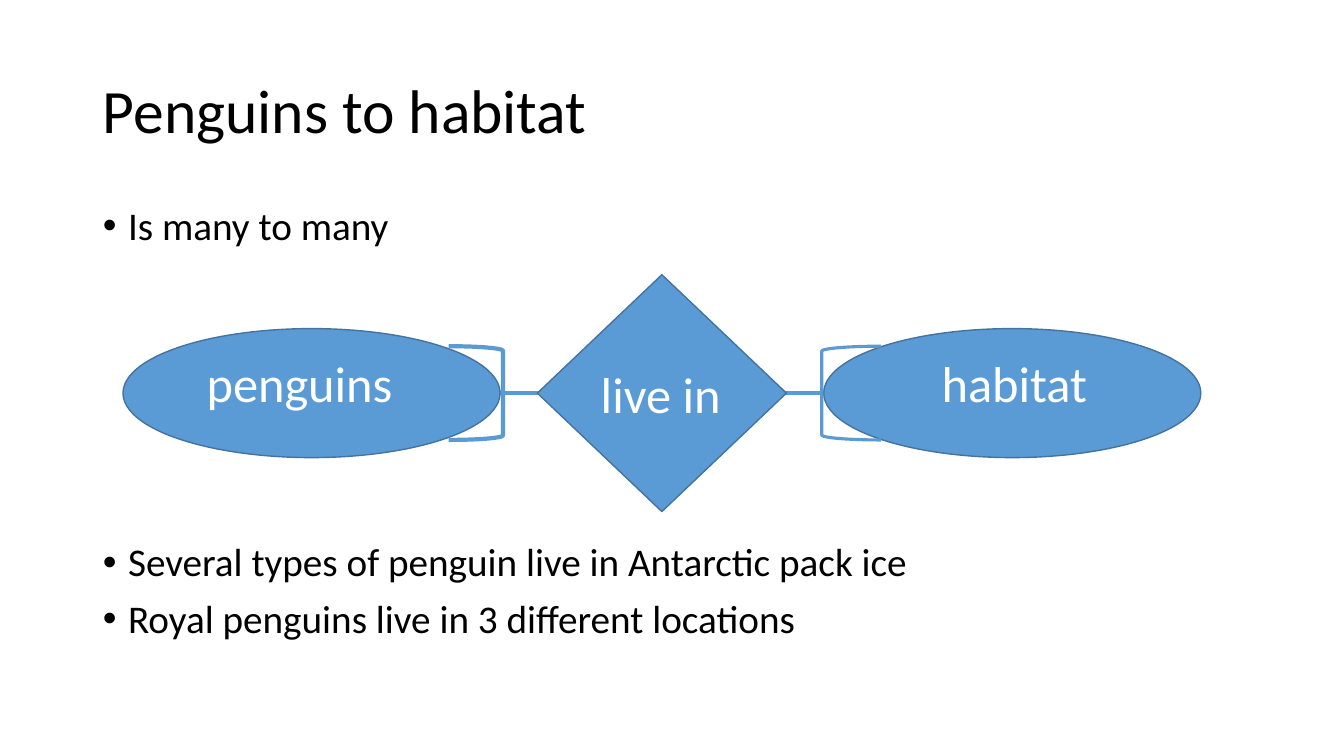
from lxml import etree
from pptx import Presentation
from pptx import util as u
from pptx.dml.color import RGBColor
from pptx.enum import shapes, text
from pptx.oxml.ns import qn

# Content
COLOURS = {"fill": "5B9BD5", "edge": "43739E", "ink": "000000", "label": "FFFFFF"}
FONT = "Calibri"
TITLE = "Penguins to habitat"
# Bullet text, space before in points (the large gap leaves room for the diagram)
BULLETS = [
    ("Is many to many", 10),
    ("Several types of penguin live in Antarctic pack ice", 210),
    ("Royal penguins live in 3 different locations", 10),
]

# Layout in px, 100 px to the inch: left, top, width, height
PX = 9144
SLIDE = (1333, 750)
TITLE_AREA = (92, 40, 1150, 145)
BODY_AREA = (92, 200, 1150, 476)
INDENT = 25
MIDDLE = 390
PENGUINS_LEFT, HABITAT_LEFT = 122, 817
ENTITY_WIDTH, ENTITY_HEIGHT = 374, 128
KIND = shapes.MSO_SHAPE
NODES = [
    (KIND.OVAL, PENGUINS_LEFT, ENTITY_WIDTH, ENTITY_HEIGHT),
    (KIND.OVAL, HABITAT_LEFT, ENTITY_WIDTH, ENTITY_HEIGHT),
    (KIND.FLOWCHART_DECISION, 533, 247, 235),
]
LABELS = [
    ("live in", (586, 355, 140, 71)),
    ("habitat", (924, 344, 238, 71)),
    ("penguins", (195, 344, 238, 71)),
]
# Kind, left, width, line width in points
BRACKETS = [(KIND.RIGHT_BRACKET, 445, 54, 3), (KIND.LEFT_BRACKET, 815, 59, 2.25)]
BRACKET_HEIGHT = 93


def emu(*lengths):
    return [u.Emu(length * PX) for length in lengths]


def colour(name):
    return RGBColor.from_string(COLOURS[name])


def apply(target, values):
    for name, value in values.items():
        setattr(target, name, value)


def place(shape, area):
    apply(shape, dict(zip(("left", "top", "width", "height"), emu(*area))))


def write(para, words, size, ink, **spacing):
    apply(para, {"alignment": text.PP_ALIGN.LEFT, **spacing})
    span = para.add_run()
    span.text = words
    apply(span.font, {"name": FONT, "size": u.Pt(size)})
    span.font.color.rgb = colour(ink)


def outline(shape, ink, width):
    shape.line.color.rgb = colour(ink)
    shape.line.width = u.Pt(width)


def add_centred(page, kind, left, width, height):
    shape = page.shapes.add_shape(kind, *emu(left, MIDDLE - height / 2, width, height))
    shape.shadow.inherit = False
    return shape


def main():
    deck = Presentation()
    deck.slide_width, deck.slide_height = emu(*SLIDE)
    page = deck.slides.add_slide(deck.slide_layouts[1])

    # Title and bullets
    title, body = page.placeholders
    for box, area, anchor in [(title, TITLE_AREA, text.MSO_ANCHOR.MIDDLE),
                              (body, BODY_AREA, text.MSO_ANCHOR.TOP)]:
        place(box, area)
        apply(box.text_frame, {"vertical_anchor": anchor, "word_wrap": True,
                               "auto_size": text.MSO_AUTO_SIZE.NONE})
    write(title.text_frame.paragraphs[0], TITLE, 44, "ink", line_spacing=0.9)
    for index, (words, gap) in enumerate(BULLETS):
        frame = body.text_frame
        para = frame.add_paragraph() if index else frame.paragraphs[0]
        write(para, words, 28, "ink", line_spacing=0.9, space_before=u.Pt(gap))
        props = para._p.get_or_add_pPr()
        props.set("marL", str(INDENT * PX))
        props.set("indent", str(-INDENT * PX))
        etree.SubElement(props, qn("a:buFont")).set("typeface", "Arial")
        etree.SubElement(props, qn("a:buChar")).set("char", "•")

    # Relationship line, behind the nodes
    link = page.shapes.add_connector(
        shapes.MSO_CONNECTOR.STRAIGHT,
        *emu(PENGUINS_LEFT + ENTITY_WIDTH, MIDDLE, HABITAT_LEFT, MIDDLE))
    outline(link, "fill", 3)
    etree.SubElement(link._element.spPr, qn("a:effectLst"))

    # Entities and relationship
    for node in NODES:
        shape = add_centred(page, *node)
        shape.fill.solid()
        shape.fill.fore_color.rgb = colour("fill")
        outline(shape, "edge", 1)

    # Labels
    for words, area in LABELS:
        box = page.shapes.add_textbox(*emu(*area))
        box.text_frame.word_wrap = True
        write(box.text_frame.paragraphs[0], words, 36, "label")

    # Brackets marking the "many" ends
    for kind, left, width, weight in BRACKETS:
        bracket = add_centred(page, kind, left, width, BRACKET_HEIGHT)
        bracket.fill.background()
        outline(bracket, "fill", weight)

    deck.save("out.pptx")


if __name__ == "__main__":
    main()
